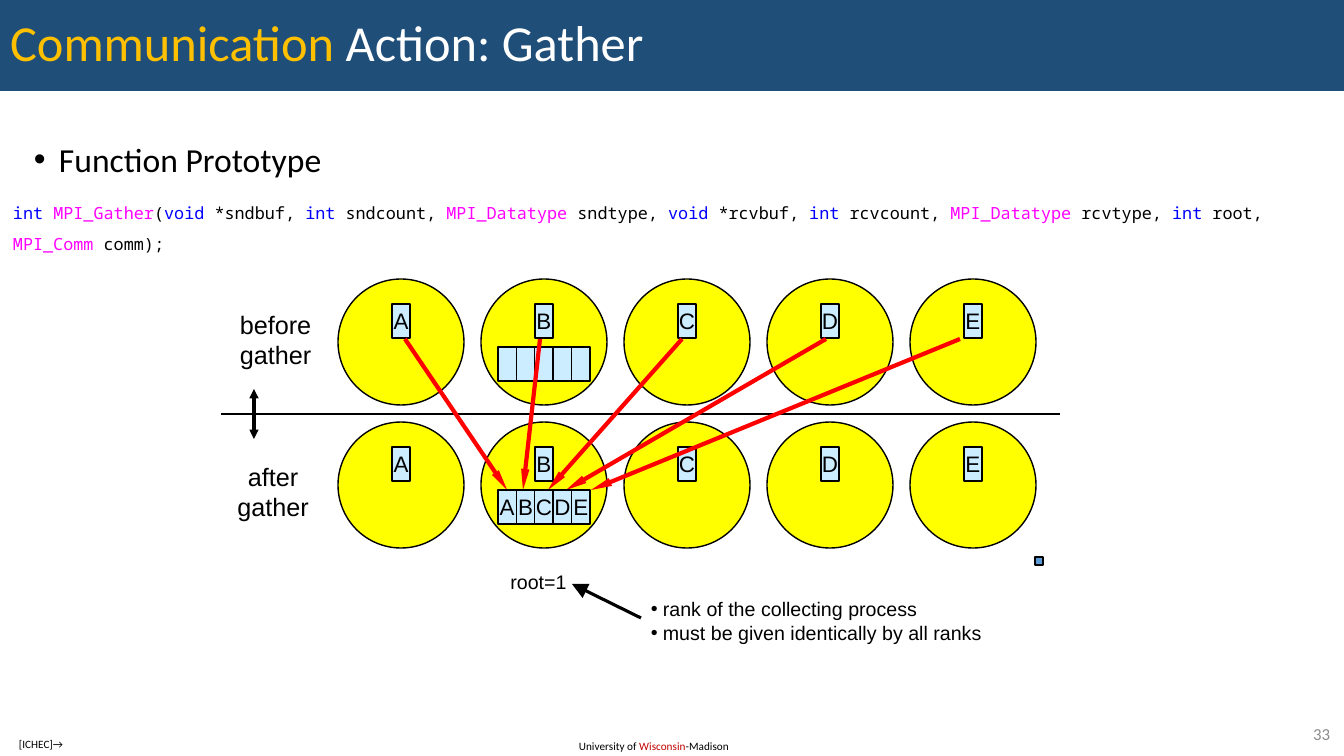
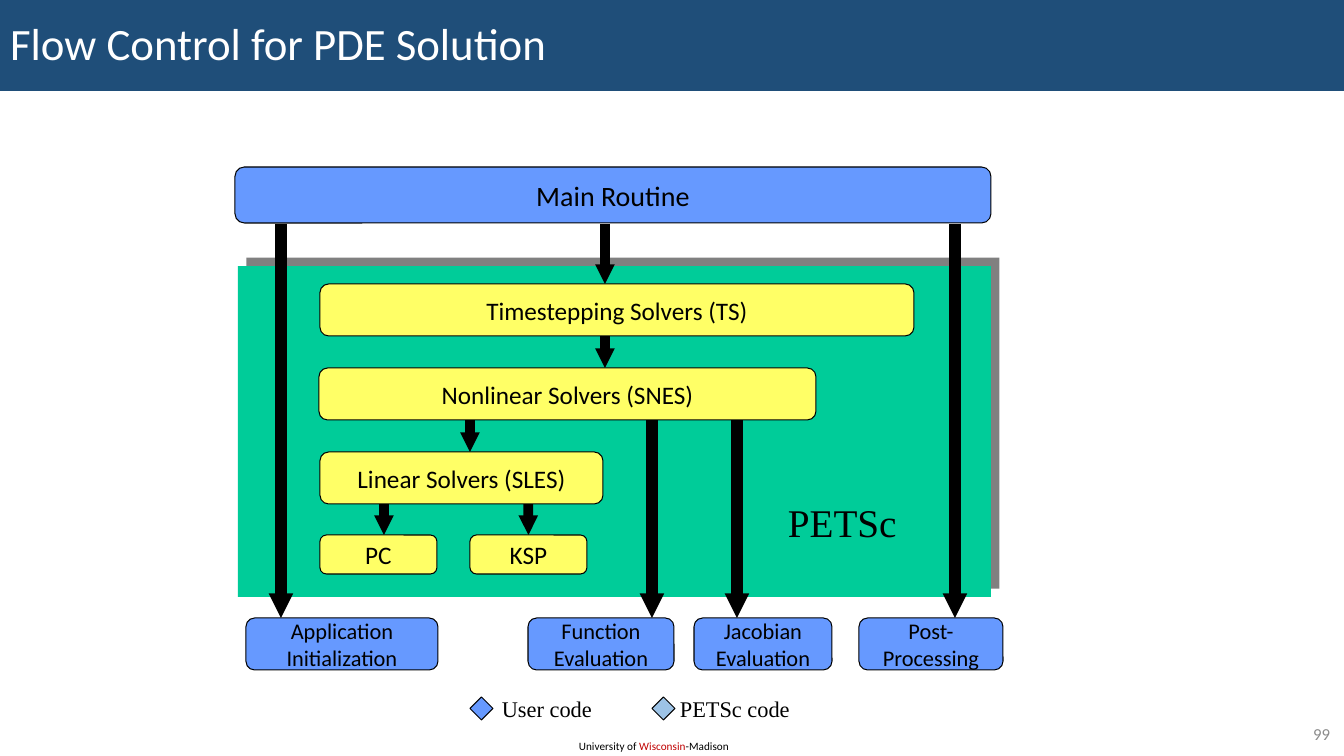
import pptx
import pptx.util
import pptx.dml.color
import pptx.enum.shapes
import pptx.enum.text
import pptx.oxml.ns
import lxml.etree

SHAPE = pptx.enum.shapes.MSO_SHAPE
ALIGN = pptx.enum.text.PP_ALIGN
ANCHOR = pptx.enum.text.MSO_ANCHOR

WIDTH, HEIGHT = 1344, 756
EMU_PER_PX = 12192000 / WIDTH

BLACK, WHITE = "000000", "FFFFFF"
BAND, GOLD, GREY, CRIMSON = "1F4E79", "FFC000", "8C8C8C", "C00000"
YELLOW, TILE, RED, MARK = "FFFF00", "CCECFF", "FF0000", "5B9BD5"
KEYWORD, MPI_NAME = "0000FF", "FF00FF"
USER, LIBRARY, LEGEND_LIBRARY, PANEL = "6699FF", "FFFF66", "9DC3E6", "00CC99"
SHADOW = "808080"


def px(n):
    return pptx.util.Emu(round(n * EMU_PER_PX))


def rgb(color):
    return pptx.dml.color.RGBColor.from_string(color)


def sub(parent, tag, **attrs):
    """Append a drawing element to an XML parent."""
    return lxml.etree.SubElement(parent, pptx.oxml.ns.qn(tag), attrs)


# Shared drawing helpers
def write(sp, paras, size, font="Calibri", color=BLACK, align=ALIGN.LEFT,
          anchor=ANCHOR.TOP, wrap=True, spacing=None, indent=0):
    """Fill a shape; a paragraph is a string or a list of (text, colour)."""
    tf = sp.text_frame
    tf.auto_size = pptx.enum.text.MSO_AUTO_SIZE.NONE
    tf.word_wrap = wrap
    tf.vertical_anchor = anchor
    for i, para in enumerate(paras):
        p = tf.paragraphs[0] if i == 0 else tf.add_paragraph()
        p.alignment = align
        if spacing:
            p.line_spacing = spacing
        if indent:
            pPr = p._p.get_or_add_pPr()
            pPr.set("marL", str(px(indent)))
            pPr.set("indent", str(-px(indent)))
            sub(pPr, "a:buFont", typeface="Arial")
            sub(pPr, "a:buChar", char="•")
        if isinstance(para, str):
            p.text = para
            colors = [color] * len(p.runs)
        else:
            for text, _ in para:
                p.add_run().text = text
            colors = [c for _, c in para]
        for r, c in zip(p.runs, colors):
            r.font.size = pptx.util.Pt(size)
            r.font.name = font
            r.font.color.rgb = rgb(c)


def label(s, x, y, w, h, paras, size, **style):
    sp = s.shapes.add_textbox(px(x), px(y), px(w), px(h))
    write(sp, paras, size, **style)
    return sp


def block(s, kind, x, y, w, h, fill, width=None):
    sp = s.shapes.add_shape(kind, px(x), px(y), px(w), px(h))
    sp.shadow.inherit = False
    sp.fill.solid()
    sp.fill.fore_color.rgb = rgb(fill)
    if width:
        sp.line.color.rgb = rgb(BLACK)
        sp.line.width = pptx.util.Pt(width)
    else:
        sp.line.fill.background()
    return sp


def line(s, x0, y0, x1, y1, color=BLACK, width=1, tip=None, both=False):
    """Draw a line; tip is the (width, length) of its arrowhead."""
    cx = s.shapes.add_connector(pptx.enum.shapes.MSO_CONNECTOR.STRAIGHT,
                                px(x0), px(y0), px(x1), px(y1))
    cx.line.color.rgb = rgb(color)
    cx.line.width = pptx.util.Pt(width)
    if tip:
        for end in ("a:headEnd", "a:tailEnd") if both else ("a:tailEnd",):
            sub(cx.line._get_or_add_ln(), end, type="triangle", w=tip[0], len=tip[1])
    sub(cx._element.spPr, "a:effectLst")
    return cx


def base_slide(prs, title, size, number):
    """Title band, footer and slide number."""
    s = prs.slides.add_slide(prs.slide_layouts[5])
    sp = s.shapes.title
    sp.left, sp.top, sp.width, sp.height = px(0), px(0), px(WIDTH), px(91)
    sp.fill.solid()
    sp.fill.fore_color.rgb = rgb(BAND)
    write(sp, [title], size, color=WHITE, anchor=ANCHOR.MIDDLE, spacing=0.9)
    label(s, 569, 734, 173, 24,
          [[("University of ", BLACK), ("Wisconsin", CRIMSON), ("-Madison", BLACK)]], 8)
    label(s, 1263, 719, 77, 29, [number], 12, color=GREY, align=ALIGN.RIGHT,
          anchor=ANCHOR.MIDDLE)
    return s


# Gather slide
def tile(s, x, y, w, letter=""):
    sp = block(s, SHAPE.RECTANGLE, x, y, w, 34, TILE, 1)
    if letter:
        write(sp, [letter], 16, font="Arial", align=ALIGN.CENTER,
              anchor=ANCHOR.MIDDLE, wrap=False)
    return sp


def buffer(s, x, y, letters):
    """Receive buffer: five adjoining tiles."""
    w = 92 / 5
    return [tile(s, x + i * w, y, w, c) for i, c in enumerate(letters)]


def prototype(s, x, y):
    sp = label(s, x + 27, y, 344, 37, ["Function Prototype"], 24, spacing=0.8, indent=25)
    tf = sp.text_frame
    tf.margin_left = tf.margin_right = tf.margin_top = px(4)
    tf.margin_bottom = 0
    code = [("int ", KEYWORD), ("MPI_Gather", MPI_NAME), ("(", BLACK),
            ("void", KEYWORD), (" *sndbuf, ", BLACK),
            ("int ", KEYWORD), ("sndcount, ", BLACK),
            ("MPI_Datatype ", MPI_NAME), ("sndtype, ", BLACK),
            ("void", KEYWORD), (" *rcvbuf,", BLACK),
            (" int ", KEYWORD), ("rcvcount, ", BLACK),
            ("MPI_Datatype ", MPI_NAME), ("rcvtype, ", BLACK),
            ("int", KEYWORD), (" root, ", BLACK),
            ("MPI_Comm ", MPI_NAME), ("comm);", BLACK)]
    label(s, x, y + 45, 1321, 40, [code], 12, font="Noto Sans Mono", spacing=1.5)


def gather_diagram(s, x, y):
    letters = "ABCDE"
    pitch, diameter = 143, 126
    circles_x = x + 117
    buffer_x = circles_x + pitch + 17

    # Processes before and after
    for row in range(2):
        for i, letter in enumerate(letters):
            cx, cy = circles_x + i * pitch, y + row * pitch
            block(s, SHAPE.OVAL, cx, cy, diameter, diameter, YELLOW, 1)
            tile(s, cx + 54, cy + 25, 18, letter)
    buffer(s, buffer_x, y + 68, [""] * 5)

    # Dividing line and captions
    line(s, x, y + 135, x + 839, y + 135)
    line(s, x + 33, y + 110, x + 33, y + 160, width=2.25, tip=("med", "med"), both=True)
    for text, dy, w in (("before\vgather", 25, 109), ("after\vgather", 177, 104)):
        label(s, x, y + dy, w, 72, [text], 18, font="Arial", align=ALIGN.CENTER)

    # Data moving to the root
    moves = [line(s, x + x0, y + 60, x + x1, y + 211, RED, 3, ("sm", "lg"))
             for x0, x1 in ((184, 285), (319, 302), (461, 327), (605, 345), (739, 370))]
    gathered = buffer(s, buffer_x, y + pitch + 68, letters)
    moves[0].end_connect(gathered[0], 0)
    block(s, SHAPE.RECTANGLE, x + 814, y + 278, 8, 8, MARK, 1)

    # Root note
    label(s, x + 279, y + 286, 77, 34, ["root=1"], 14, font="Arial",
          align=ALIGN.CENTER, wrap=False)
    sp = block(s, SHAPE.RECTANGLE, x + 420, y + 313, 353, 57, WHITE)
    write(sp, ["rank of the collecting process", "must be given identically by all ranks"],
          14, font="Arial", wrap=False, indent=12)
    line(s, x + 420, y + 339, x + 351, y + 305, width=2.25, tip=("lg", "lg"))


def gather_slide(prs):
    s = base_slide(prs, [("Communication", GOLD), (" Action: Gather", WHITE)], 36, "33")
    prototype(s, 3, 143)
    gather_diagram(s, 221, 279)
    label(s, 9, 732, 73, 24, ["[ICHEC]→"], 8)


# Flow control slide
def step(s, x, y, w, h, paras, size, fill):
    sp = block(s, SHAPE.ROUNDED_RECTANGLE, x, y, w, h, fill, 0.75)
    write(sp, paras, size, align=ALIGN.CENTER, anchor=ANCHOR.MIDDLE, wrap=False)
    return sp


def flow_diagram(s, x, y):
    tip = ("sm", "sm")
    outputs_y = y + 451

    # Library panel with its shadow
    panel = block(s, SHAPE.RECTANGLE, x + 3, y + 99, 753, 331, PANEL)
    effects = panel._element.spPr.find(pptx.oxml.ns.qn("a:effectLst"))
    shadow = sub(effects, "a:outerShdw", dist=str(pptx.util.Pt(8.5)),
                 dir=str(315 * 60000), algn="ctr", rotWithShape="0")
    sub(shadow, "a:srgbClr", val=SHADOW)
    label(s, x + 543, y + 326, 152, 57, ["PETSc"], 28, font="Times New Roman")

    # User routines
    for dx, w, paras in ((11, 192, ["Application", "Initialization"]),
                         (293, 146, ["Function", "Evaluation"]),
                         (459, 138, ["Jacobian", "Evaluation"]),
                         (624, 144, ["Post-", "Processing"])):
        step(s, x + dx, outputs_y, w, 52, paras, 16, USER)

    # Long arrows to the user routines
    for dx, dy in ((417, 252), (502, 252), (720, 57), (46, 57)):
        line(s, x + dx, y + dy, x + dx, outputs_y, width=8.75, tip=tip)

    # Short arrows, which start behind the boxes
    short = [line(s, x + dx, y + dy - length, x + dx, y + dy, width=7, tip=tip)
             for dx, dy, length in ((370, 117, 60), (370, 201, 52), (235, 285, 52),
                                    (149, 368, 52), (293, 368, 52))]

    # Main routine and solvers
    step(s, x, y, 756, 56, ["Main Routine"], 20, USER)
    for dx, dy, w, h, text in ((85, 117, 594, 52, "Timestepping Solvers (TS)"),
                               (84, 201, 497, 52, "Nonlinear Solvers (SNES)"),
                               (85, 285, 283, 52, "Linear Solvers (SLES)"),
                               (85, 368, 117, 39, "PC"),
                               (235, 368, 117, 39, "KSP")):
        sp = step(s, x + dx, y + dy, w, h, [text], 18, LIBRARY)
    short[-1].end_connect(sp, 0)


def legend(s, x, y):
    for dx, text_dx, w, text, fill in ((0, 22, 112, "User code", USER),
                                       (182, 200, 130, "PETSc code", LEGEND_LIBRARY)):
        block(s, SHAPE.DIAMOND, x + dx, y + 7, 23, 23, fill, 0.75)
        label(s, x + text_dx, y, w, 37, [text], 16, font="Times New Roman", wrap=False)


def flow_slide(prs):
    s = base_slide(prs, "Flow Control for PDE Solution", 32, "99")
    flow_diagram(s, 235, 167)
    legend(s, 470, 690)


def main():
    prs = pptx.Presentation()
    prs.slide_width, prs.slide_height = px(WIDTH), px(HEIGHT)
    gather_slide(prs)
    flow_slide(prs)
    prs.save("out.pptx")


if __name__ == "__main__":
    main()
